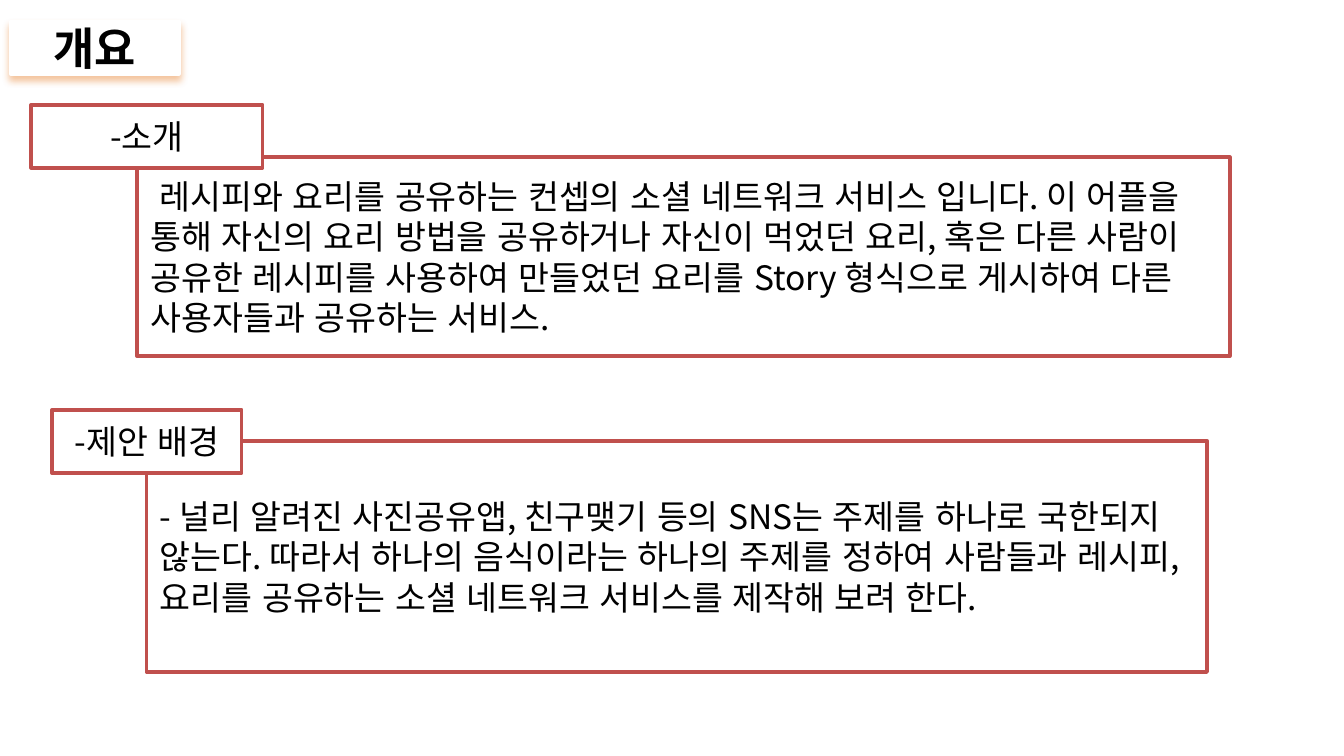
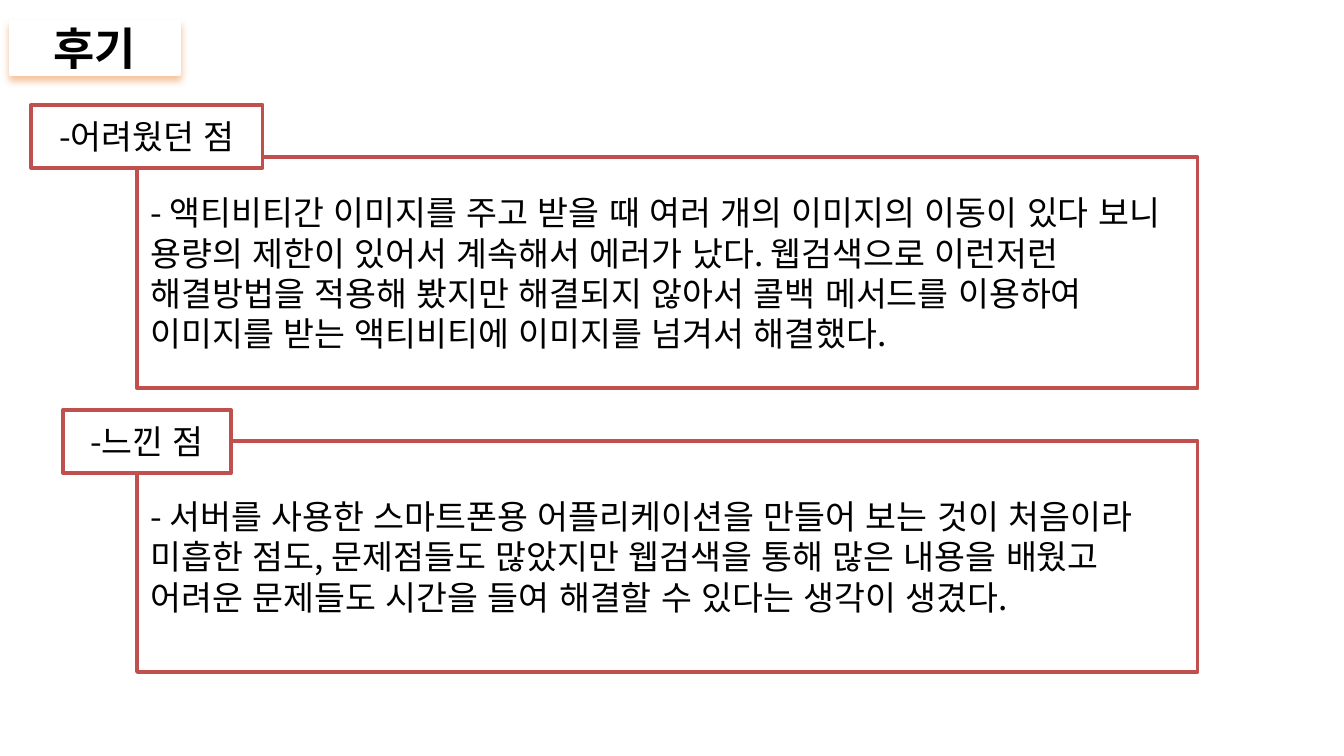
from dataclasses import dataclass

from lxml.etree import SubElement
from pptx import Presentation
from pptx.dml.color import RGBColor
from pptx.enum.lang import MSO_LANGUAGE_ID
from pptx.enum.shapes import MSO_SHAPE
from pptx.enum.text import MSO_ANCHOR, MSO_AUTO_SIZE, PP_ALIGN
from pptx.oxml.ns import qn
from pptx.shapes.autoshape import Shape
from pptx.slide import Slide
from pptx.util import Pt


@dataclass(frozen=True)
class Theme:
    """Colours, type sizes and shared measures in points."""

    font: str = "Noto Sans CJK KR"
    ink: str = "000000"
    paper: str = "FFFFFF"
    edge: str = "C0504D"
    glow: str = "E46C0A"
    head: float = 24
    text: float = 18
    line: float = 2
    axis: float = 78.7
    tab: float = 33.84


@dataclass(frozen=True)
class Box:
    """A rectangle in points."""

    left: float
    top: float
    width: float
    height: float


@dataclass(frozen=True)
class Panel:
    """A framed paragraph with a label tab on its upper edge."""

    label: str
    top: float
    width: float
    text: str
    box: Box
    indent: float = 0


@dataclass(frozen=True)
class Page:
    """A titled slide with two panels."""

    title: str
    panels: tuple[Panel, Panel]


THEME = Theme()
TITLE = Box(5.76, 11.52, 90, 28.08)
LEFT, WIDE, TALL = 73.44, 568.08, 123.84
UPPER, LOWER = 84.24, 236.16
TAB_UP, TAB_LOW = 56.16, 219.6

PAGES = (
    Page("개요", (
        Panel(
            "-소개", TAB_UP, 123.84,
            "레시피와 요리를 공유하는 컨셉의 소셜 네트워크 서비스 입니다. "
            "이 어플을 통해 자신의 요리 방법을 공유하거나 자신이 먹었던 요리, "
            "혹은 다른 사람이 공유한 레시피를 사용하여 만들었던 요리를 "
            "Story 형식으로 게시하여 다른 사용자들과 공유하는 서비스.",
            Box(LEFT, UPPER, 585.36, 106.56), indent=5,
        ),
        Panel(
            "-제안 배경", TAB_LOW, 101.52,
            "- 널리 알려진 사진공유앱, 친구맺기 등의 SNS는 주제를 하나로 "
            "국한되지 않는다. 따라서 하나의 음식이라는 하나의 주제를 정하여 "
            "사람들과 레시피, 요리를 공유하는 소셜 네트워크 서비스를 "
            "제작해 보려 한다.",
            Box(78.48, LOWER, WIDE, TALL),
        ),
    )),
    Page("후기", (
        Panel(
            "-어려웠던 점", TAB_UP, 123.84,
            "- 액티비티간 이미지를 주고 받을 때 여러 개의 이미지의 이동이 "
            "있다 보니 용량의 제한이 있어서 계속해서 에러가 났다. "
            "웹검색으로 이런저런 해결방법을 적용해 봤지만 해결되지 않아서 "
            "콜백 메서드를 이용하여 이미지를 받는 액티비티에 이미지를 "
            "넘겨서 해결했다.",
            Box(LEFT, UPPER, WIDE, TALL),
        ),
        Panel(
            "-느낀 점", TAB_LOW, 90,
            "- 서버를 사용한 스마트폰용 어플리케이션을 만들어 보는 것이 "
            "처음이라 미흡한 점도, 문제점들도 많았지만 웹검색을 통해 많은 "
            "내용을 배웠고 어려운 문제들도 시간을 들여 해결할 수 있다는 "
            "생각이 생겼다.",
            Box(LEFT, LOWER, WIDE, TALL),
        ),
    )),
)


def place(shape: Shape, box: Box) -> None:
    """Move and size a shape."""
    shape.left, shape.top = Pt(box.left), Pt(box.top)
    shape.width, shape.height = Pt(box.width), Pt(box.height)


def paint(shape: Shape, edge: str) -> None:
    """Give a shape the paper fill, a coloured line and no shadow."""
    shape.fill.solid()
    shape.fill.fore_color.rgb = RGBColor.from_string(THEME.paper)
    shape.line.color.rgb = RGBColor.from_string(edge)
    shape.line.width = Pt(THEME.line)
    shape.shadow.inherit = False


def write(shape: Shape, text: str, size: float, align: PP_ALIGN,
          bold: bool = False, indent: float = 0) -> None:
    """Set one plain paragraph, centred in height."""
    frame = shape.text_frame
    frame.text = text
    frame.word_wrap = True
    frame.auto_size = MSO_AUTO_SIZE.NONE
    frame.vertical_anchor = MSO_ANCHOR.MIDDLE
    para = frame.paragraphs[0]
    para.alignment = align
    para.space_before = Pt(0)
    font = para.font
    font.name, font.size, font.bold = THEME.font, Pt(size), bold
    font.color.rgb = RGBColor.from_string(THEME.ink)
    font.language_id = MSO_LANGUAGE_ID.KOREAN
    props = para._p.get_or_add_pPr()
    props.set("marL", "0")
    props.set("indent", str(Pt(indent)))
    chars = props.find(qn("a:defRPr"))
    SubElement(chars, qn("a:ea"), typeface=THEME.font)
    chars.addprevious(props.makeelement(qn("a:buNone"), {}))


def shade(shape: Shape) -> None:
    """Drop a soft warm shadow below a shape."""
    effects = shape._element.spPr.find(qn("a:effectLst"))
    drop = SubElement(
        effects, qn("a:outerShdw"), blurRad=str(Pt(4)), dist=str(Pt(3)),
        dir="5400000", algn="t", rotWithShape="0",
    )
    tint = SubElement(drop, qn("a:srgbClr"), val=THEME.glow)
    SubElement(tint, qn("a:alpha"), val="40000")


def head(slide: Slide, text: str) -> None:
    """Draw the slide title as a raised card."""
    title = slide.shapes.title
    place(title, TITLE)
    paint(title, THEME.paper)
    shade(title)
    write(title, text, THEME.head, PP_ALIGN.CENTER, bold=True)


def draw(slide: Slide, body: Shape, panel: Panel) -> None:
    """Draw a panel in a body placeholder and its tab above it."""
    place(body, panel.box)
    paint(body, THEME.edge)
    write(body, panel.text, THEME.text, PP_ALIGN.LEFT, indent=panel.indent)
    tab = slide.shapes.add_shape(
        MSO_SHAPE.RECTANGLE, Pt(THEME.axis - panel.width / 2), Pt(panel.top),
        Pt(panel.width), Pt(THEME.tab),
    )
    paint(tab, THEME.edge)
    write(tab, panel.label, THEME.text, PP_ALIGN.CENTER)


def main() -> None:
    """Build and save the deck."""
    deck = Presentation()
    deck.slide_width, deck.slide_height = Pt(720), Pt(405)
    layout = deck.slide_layouts.get_by_name("Two Content")
    for page in PAGES:
        slide = deck.slides.add_slide(layout)
        head(slide, page.title)
        for slot, panel in enumerate(page.panels, start=1):
            draw(slide, slide.placeholders[slot], panel)
    deck.save("out.pptx")


main()
